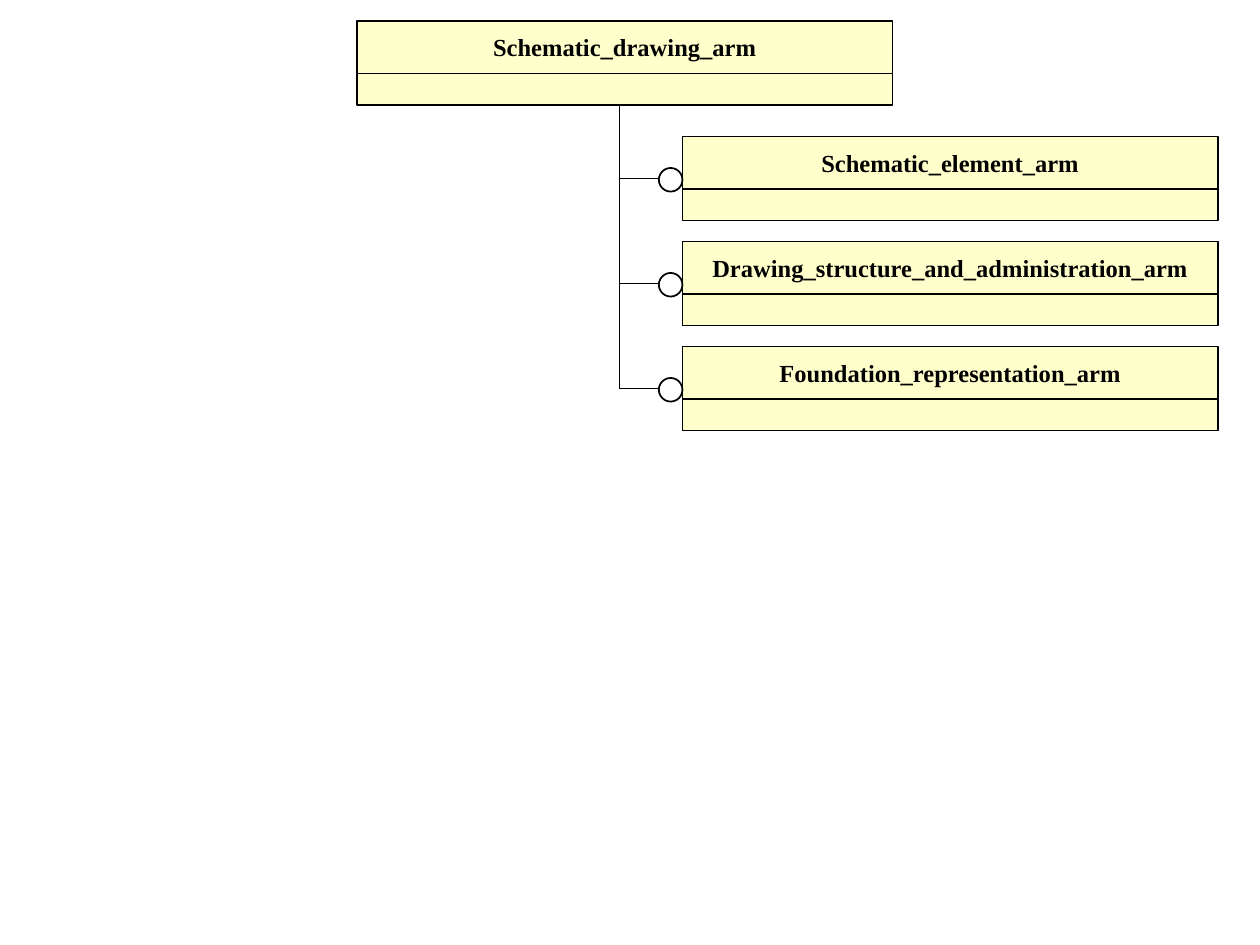
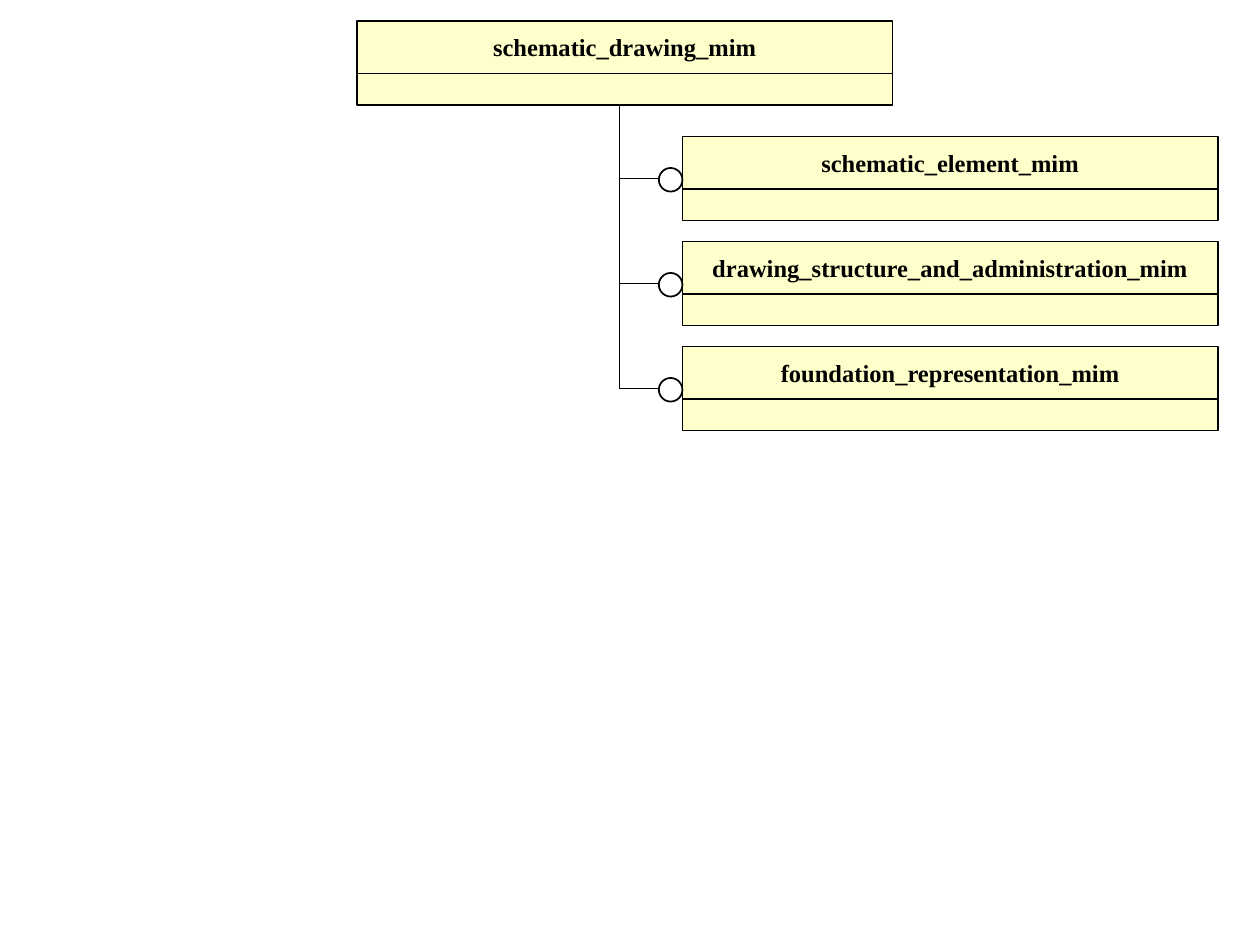
from lxml.etree import SubElement
from pptx import Presentation
from pptx.dml.color import RGBColor
from pptx.enum.shapes import MSO_CONNECTOR, MSO_SHAPE
from pptx.enum.text import MSO_ANCHOR, PP_ALIGN
from pptx.oxml.ns import qn
from pptx.util import Inches, Pt

COLORS = {"box": "FFFFCC", "circle": "FFFFFF", "ink": "000000"}
FONT, FONT_SIZE = "Times New Roman", 14

# Grid of 120 columns by 90 rows, twelve cells to the inch
CELL = Inches(1) / 12
BOX_W, NAME_H, BODY_H = 51, 5, 3
ROOT_COL, ROOT_ROW = 34, 2
CHILD_COL, CHILD_ROW, CHILD_STEP = 65, 13, 10
TRUNK_COL, BRANCH_END, BRANCH_DROP = 59, 63, 4
CIRCLE_D, CIRCLE_DROP = 2.25, 3

# Root schema followed by the schemas it uses
DIAGRAMS = [
    ("Schematic_drawing_arm",
     ["Schematic_element_arm",
      "Drawing_structure_and_administration_arm",
      "Foundation_representation_arm"]),
    ("schematic_drawing_mim",
     ["schematic_element_mim",
      "drawing_structure_and_administration_mim",
      "foundation_representation_mim"]),
]


def cells(*values):
    return [round(v * CELL) for v in values]


def color(name):
    return RGBColor.from_string(COLORS[name])


class SchemaSlide:
    def __init__(self, prs):
        self.s = prs.slides.add_slide(prs.slide_layouts[6])

    def shape(self, shapes, kind, at, fill, weight=0.75):
        sp = shapes.add_shape(kind, *cells(*at))
        sp.shadow.inherit = False
        sp.fill.solid()
        sp.fill.fore_color.rgb = color(fill)
        sp.line.color.rgb = color("ink")
        sp.line.width = Pt(weight)
        return sp

    def box(self, col, row, name):
        """Schema box: a name compartment above an empty one."""
        shapes = self.s.shapes.add_group_shape().shapes
        sp = self.shape(shapes, MSO_SHAPE.RECTANGLE,
                        (col, row, BOX_W, NAME_H), "box")
        self.shape(shapes, MSO_SHAPE.RECTANGLE,
                   (col, row + NAME_H, BOX_W, BODY_H), "box")
        tf = sp.text_frame
        tf.word_wrap = False
        tf.vertical_anchor = MSO_ANCHOR.MIDDLE
        p = tf.paragraphs[0]
        p.text = name
        p.alignment = PP_ALIGN.CENTER
        p.font.name, p.font.size, p.font.bold = FONT, Pt(FONT_SIZE), True
        p.font.color.rgb = color("ink")

    def line(self, *ends):
        cn = self.s.shapes.add_connector(MSO_CONNECTOR.STRAIGHT, *cells(*ends))
        cn.line.color.rgb = color("ink")
        cn.line.width = Pt(0.75)
        SubElement(cn._element.spPr, qn("a:effectLst"))

    def circle(self, col, row):
        self.shape(self.s.shapes, MSO_SHAPE.OVAL,
                   (col, row, CIRCLE_D, CIRCLE_D), "circle", 1)

    def tree(self, root, children):
        # Root and trunk
        self.box(ROOT_COL, ROOT_ROW, root)
        last_row = CHILD_ROW + CHILD_STEP * (len(children) - 1)
        self.line(TRUNK_COL, last_row + BRANCH_DROP,
                  TRUNK_COL, ROOT_ROW + NAME_H + BODY_H)
        # Branches, each ending in a circle at the child's left edge
        for i, name in enumerate(children):
            row = CHILD_ROW + CHILD_STEP * i
            self.box(CHILD_COL, row, name)
            self.line(TRUNK_COL, row + BRANCH_DROP,
                      BRANCH_END, row + BRANCH_DROP)
            self.circle(CHILD_COL - CIRCLE_D, row + CIRCLE_DROP)


def main():
    prs = Presentation()
    prs.slide_width, prs.slide_height = Inches(10), Inches(7.5)
    for root, children in DIAGRAMS:
        SchemaSlide(prs).tree(root, children)
    prs.save("out.pptx")


if __name__ == "__main__":
    main()
